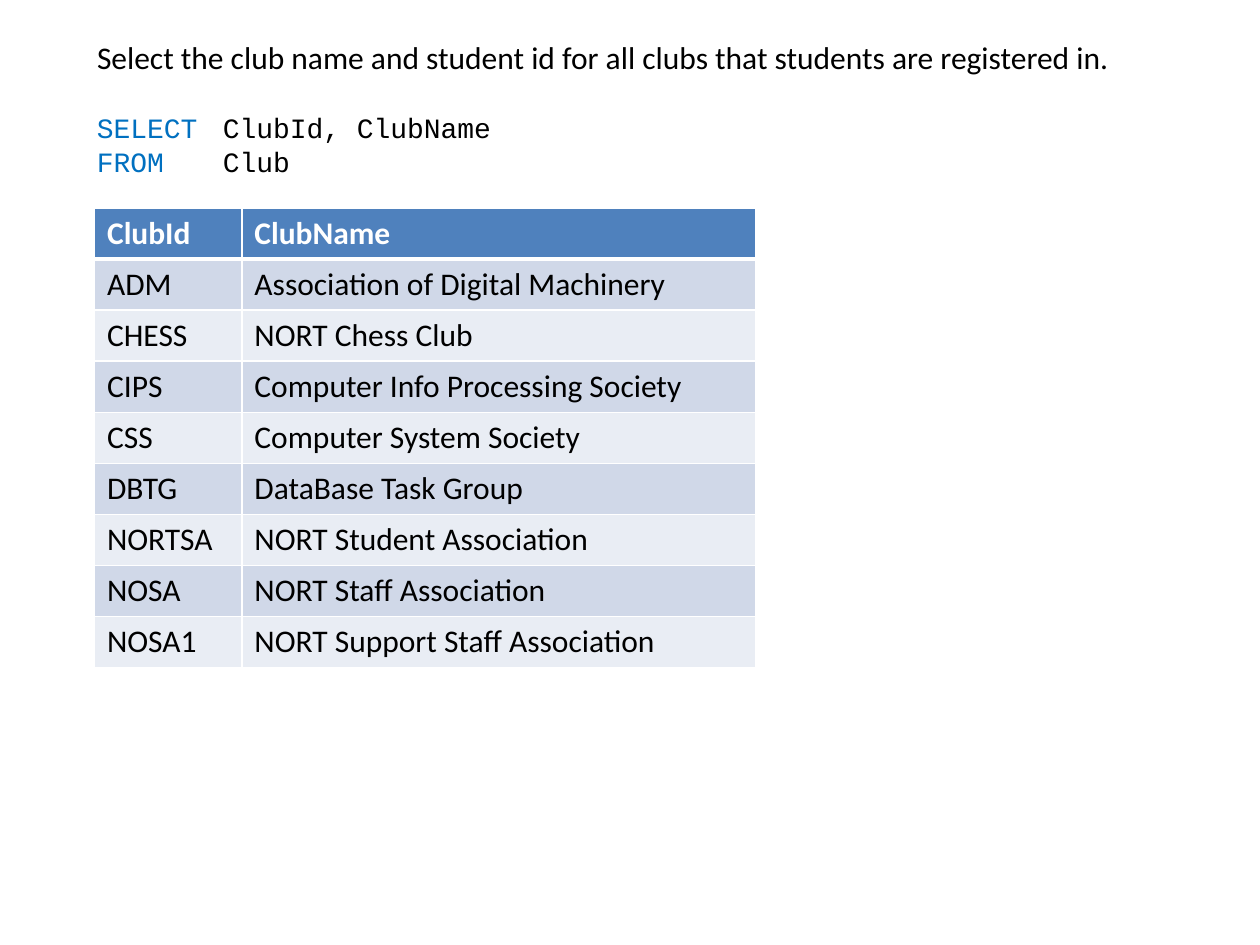
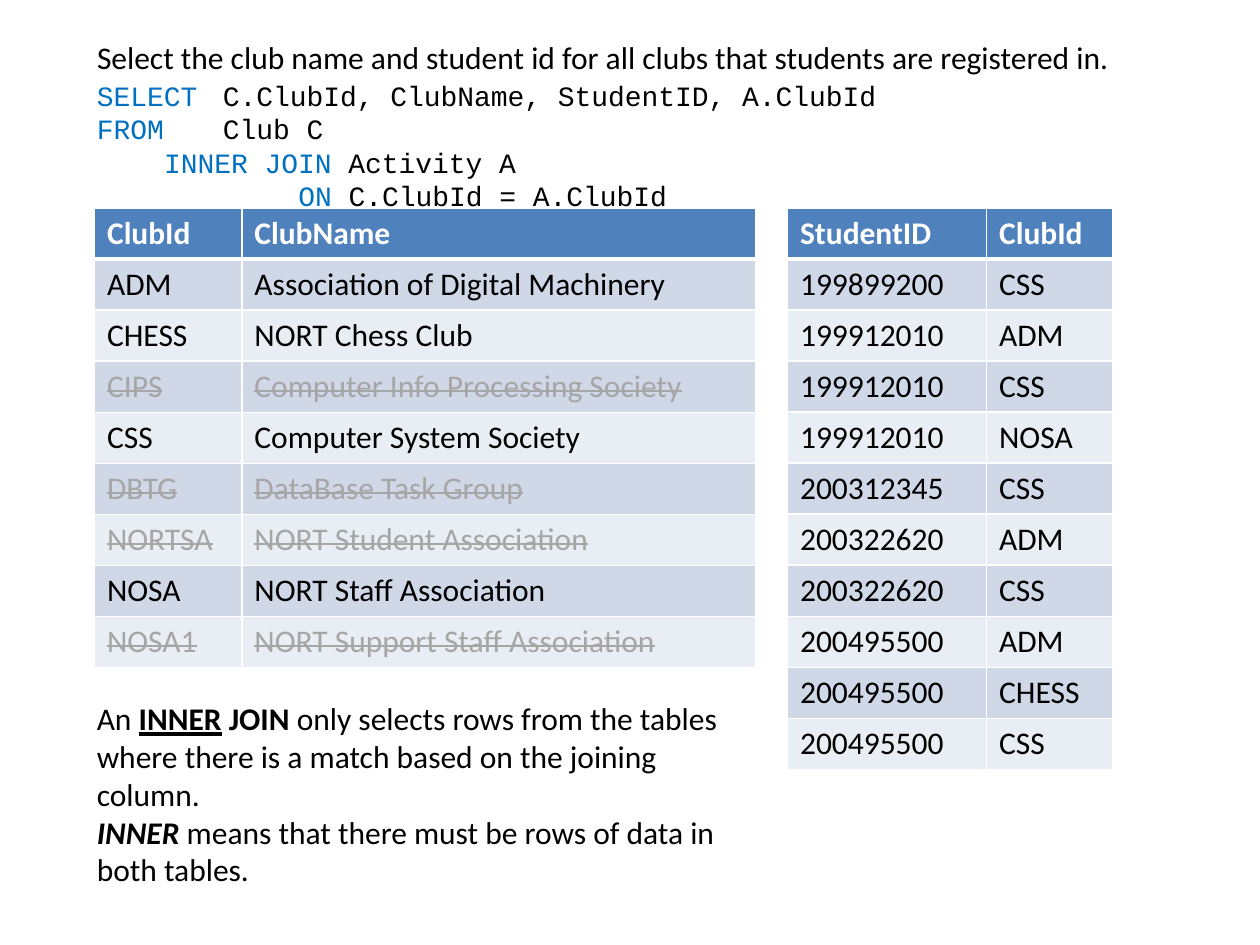
from dataclasses import dataclass

from lxml.etree import SubElement
from pptx import Presentation
from pptx.dml.color import RGBColor
from pptx.enum.text import MSO_ANCHOR, MSO_AUTO_SIZE, PP_ALIGN
from pptx.oxml.ns import qn
from pptx.util import Inches, Pt


@dataclass(frozen=True)
class Theme:
    sans: str = "Calibri"
    mono: str = "Courier New"
    text: int = 18
    code: int = 16
    ink: str = "000000"
    key: str = "0070C0"
    mute: str = "A6A6A6"
    head: str = "4F81BD"
    bands: tuple = ("D0D8E8", "E9EDF4")
    white: str = "FFFFFF"
    thin: int = 1
    thick: int = 3
    char: float = 0.6 * 16 / 72  # width of one code letter, in inches


LOOK = Theme()
PLAIN = {"name": LOOK.sans, "size": LOOK.text, "color": LOOK.ink}
CODE = {**PLAIN, "name": LOOK.mono, "size": LOOK.code}
KEY = {"color": LOOK.key}
BOLD = {"bold": True}
HEAD = {**BOLD, "color": LOOK.white}
GONE = {"color": LOOK.mute, "strike": True}

ASK = ("Select the club name and student id for all clubs "
       "that students are registered in.")
CLUBS = [
    ("ClubId", "ClubName"),
    ("ADM", "Association of Digital Machinery"),
    ("CHESS", "NORT Chess Club"),
    ("CIPS", "Computer Info Processing Society"),
    ("CSS", "Computer System Society"),
    ("DBTG", "DataBase Task Group"),
    ("NORTSA", "NORT Student Association"),
    ("NOSA", "NORT Staff Association"),
    ("NOSA1", "NORT Support Staff Association"),
]
JOINS = [
    ("StudentID", "ClubId"),
    ("199899200", "CSS"),
    ("199912010", "ADM"),
    ("199912010", "CSS"),
    ("199912010", "NOSA"),
    ("200312345", "CSS"),
    ("200322620", "ADM"),
    ("200322620", "CSS"),
    ("200495500", "ADM"),
    ("200495500", "CHESS"),
    ("200495500", "CSS"),
]
# Each code line: indent in letters, keyword, rest.
PICK = [(0, "SELECT", "\tClubId, ClubName"), (0, "FROM", "\tClub")]
INNER = [
    (0, "SELECT", "\tC.ClubId, ClubName, StudentID, A.ClubId"),
    (0, "FROM", "\tClub C"),
    (4, "INNER JOIN", " Activity A"),
    (12, "ON", " C.ClubId = A.ClubId"),
]
NOTE = [
    [("An ", {}), ("INNER", {**BOLD, "underline": True}), (" JOIN ", BOLD),
     ("only selects rows from the tables where there is a match "
      "based on the joining column.", {})],
    [("INNER", {**BOLD, "italic": True}),
     (" means that there must be rows of data in both tables.", {})],
]


def write(par, runs, base=PLAIN):
    """Add (text, format) runs, each laid over the base format."""
    for text, extra in runs:
        run = par.add_run()
        run.text = text
        for name, value in {**base, **extra}.items():
            if name == "color":
                run.font.color.rgb = RGBColor.from_string(value)
            elif name == "strike":
                run._r.get_or_add_rPr().set("strike", "sngStrike")
            else:
                setattr(run.font, name, Pt(value) if name == "size" else value)


def place(shape, box):
    for name, value in zip(("left", "top", "width", "height"), box):
        setattr(shape, name, Inches(value))


def add_title(slide, box, text):
    title = slide.shapes.title
    place(title, box)
    frame = title.text_frame
    form = {"word_wrap": True, "auto_size": MSO_AUTO_SIZE.NONE,
            "vertical_anchor": MSO_ANCHOR.TOP}
    for name, value in form.items():
        setattr(frame, name, value)
    par = frame.paragraphs[0]
    par.alignment = PP_ALIGN.LEFT
    write(par, [(text, {})])


def add_text(slide, box, lines, base=PLAIN):
    frame = slide.shapes.add_textbox(*map(Inches, box)).text_frame
    frame.word_wrap = True
    for i, runs in enumerate(lines):
        par = frame.add_paragraph() if i else frame.paragraphs[0]
        write(par, runs, base)
    return frame


def add_code(slide, box, lines):
    """Set code with keywords coloured and a tab stop at letter eight."""
    runs = [[(word, KEY), (rest, {})] for _, word, rest in lines]
    frame = add_text(slide, box, runs, CODE)
    for par, (shift, _, _) in zip(frame.paragraphs, lines):
        props = par._p.get_or_add_pPr()
        props.set("marL", str(Inches(shift * LOOK.char)))
        props.set("indent", "0")
        if not shift:
            tabs = SubElement(props, qn("a:tabLst"))
            SubElement(tabs, qn("a:tab"), pos=str(Inches(8 * LOOK.char)), algn="l")


def edge(cell, row):
    """Draw white borders, thick between the header and the body."""
    props = cell._tc.get_or_add_tcPr()
    for side in "LRTB":
        thick = (row, side) in ((0, "B"), (1, "T"))
        width = Pt(LOOK.thick if thick else LOOK.thin)
        line = SubElement(props, qn(f"a:ln{side}"), w=str(width))
        fill = SubElement(line, qn("a:solidFill"))
        SubElement(fill, qn("a:srgbClr"), val=LOOK.white)


def add_grid(slide, box, cols, rows, gone=()):
    """Add a banded table; rows whose first cell is in gone are struck out."""
    grid = slide.shapes.add_table(len(rows), len(cols), *map(Inches, box)).table
    grid.horz_banding = False
    for col, width in zip(grid.columns, cols):
        col.width = Inches(width)
    for r, row in enumerate(rows):
        form = GONE if row[0] in gone else {} if r else HEAD
        tint = LOOK.bands[(r - 1) % 2] if r else LOOK.head
        for c, text in enumerate(row):
            cell = grid.cell(r, c)
            edge(cell, r)
            cell.fill.solid()
            cell.fill.fore_color.rgb = RGBColor.from_string(tint)
            write(cell.text_frame.paragraphs[0], [(text, form)])


def add_query(deck, box, code, gone=()):
    """Add a slide with the question, its code and the club table."""
    slide = deck.slides.add_slide(deck.slide_layouts[5])
    add_title(slide, (0.67, 0.25, 8.58, 0.4), ASK)
    add_code(slide, box, code)
    add_grid(slide, (0.75, 1.65, 5.25, 3.65), (1.17, 4.08), CLUBS, gone)
    return slide


def main():
    deck = Presentation()
    deck.slide_width, deck.slide_height = Inches(10), Inches(7.5)
    add_query(deck, (0.67, 0.83, 4.58, 0.64), PICK)
    used = {club for _, club in JOINS}
    gone = {club for club, _ in CLUBS[1:]} - used
    slide = add_query(deck, (0.67, 0.57, 8.42, 1.18), INNER, gone)
    add_grid(slide, (6.25, 1.65, 2.58, 4.46), (1.58, 1), JOINS)
    add_text(slide, (0.67, 5.5, 5.33, 1.62), NOTE)
    deck.save("out.pptx")


if __name__ == "__main__":
    main()
